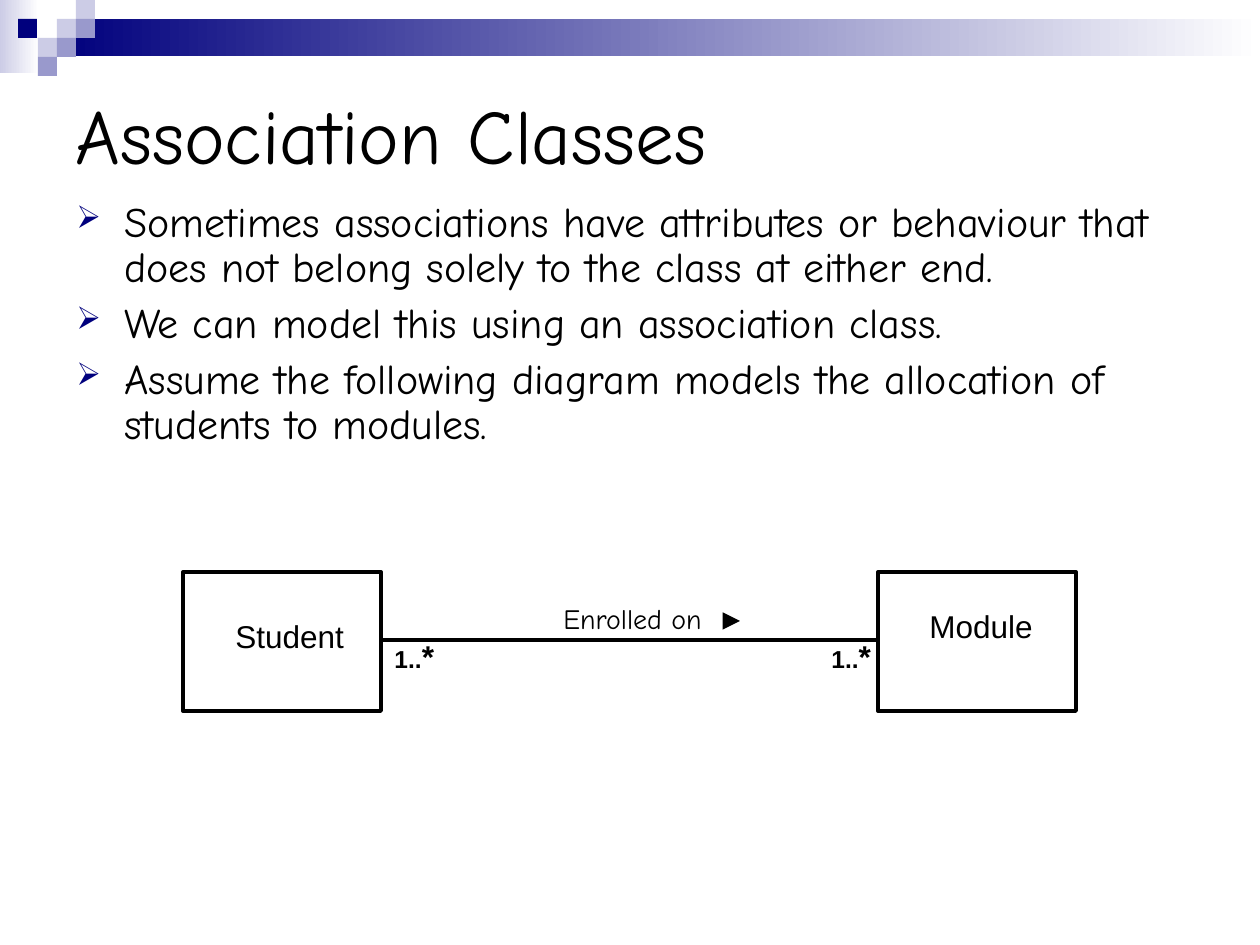
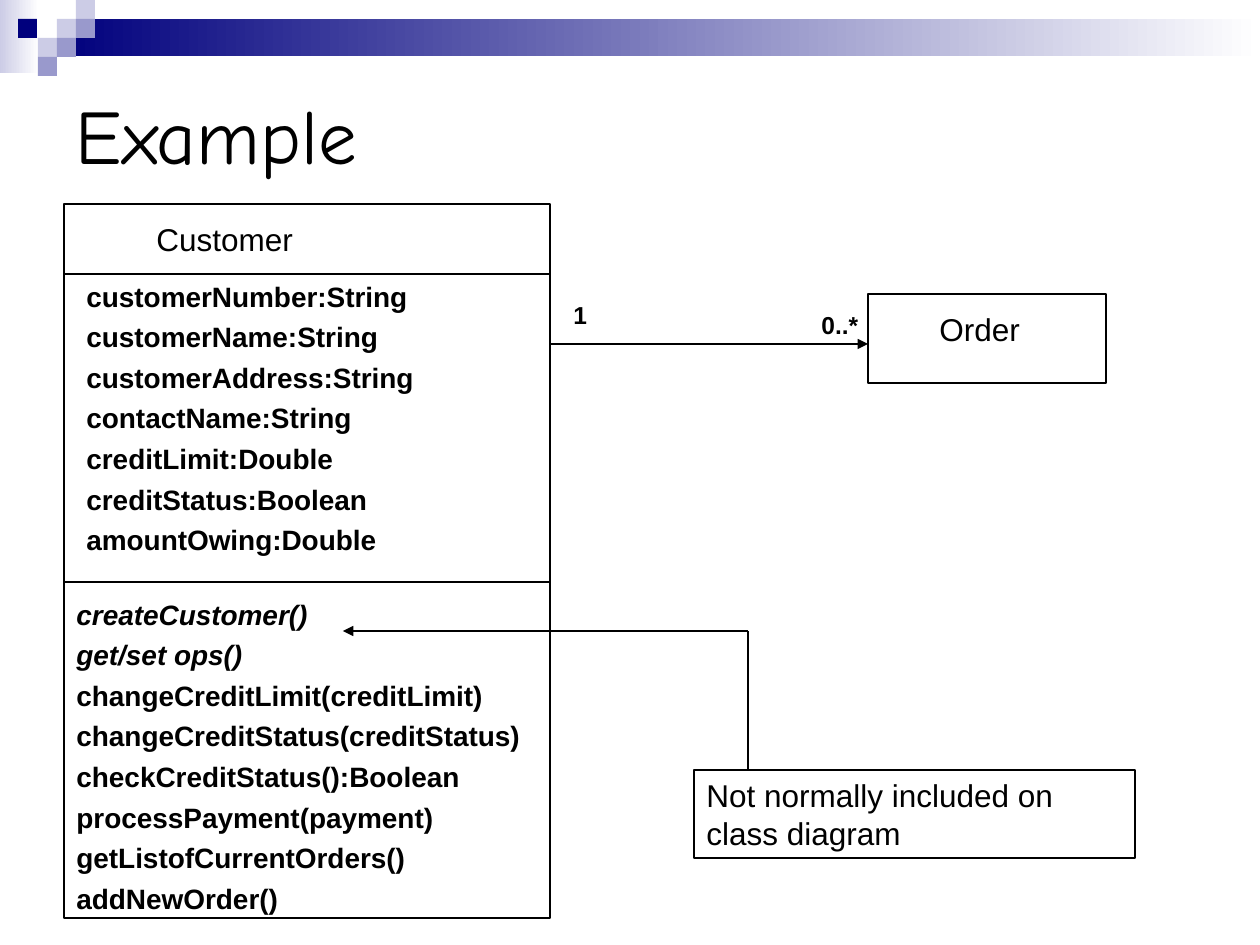
from lxml.etree import SubElement
from pptx import Presentation
from pptx.dml.color import RGBColor
from pptx.enum.shapes import MSO_CONNECTOR as Conn, MSO_SHAPE as Geo
from pptx.enum.text import MSO_ANCHOR as Anchor, MSO_AUTO_SIZE as Fit, PP_ALIGN as Align
from pptx.oxml.ns import qn
from pptx.util import Pt

# Shared look
SCALE = 914400 / 126
NAVY = RGBColor(0x00, 0x00, 0x7D)
MID = RGBColor(0x99, 0x99, 0xCC)
PALE = RGBColor(0xCC, 0xCC, 0xE6)
WHITE = RGBColor(0xFF, 0xFF, 0xFF)
BLACK = RGBColor(0x00, 0x00, 0x00)
HAND, SANS = "Comic Neue", "Arial"

TITLE = (63, 63, 1134, 141)
FADES = [((0, 0, 39, 73), PALE), ((57, 19, 1203, 37), NAVY)]
TILE = 19
TILES = [(57, 19, PALE), (76, 0, PALE), (76, 19, MID), (38, 38, PALE),
         (18, 19, NAVY), (57, 38, MID), (38, 57, MID)]

# Content: boxes are left, top, width, height; lines are x1, y1, x2, y2, arrow size
POINTS = [
    "Sometimes associations have attributes or behaviour that does not belong "
    "solely to the class at either end.",
    "We can model this using an association class.",
    "Assume the following diagram models the allocation of students to modules.",
]
FIELDS = ["customerNumber:String", "customerName:String", "customerAddress:String",
          "contactName:String", "creditLimit:Double", "creditStatus:Boolean",
          "amountOwing:Double"]
BASIC = ["createCustomer()", "get/set ops()"]
METHODS = ["changeCreditLimit(creditLimit)", "changeCreditStatus(creditStatus)",
           "checkCreditStatus():Boolean", "processPayment(payment)",
           "getListofCurrentOrders()", "addNewOrder()"]

ENROL = {
    "title": "Association Classes",
    "weight": 2.25,
    "boxes": [(183, 572, 198, 139), (878, 572, 198, 139)],
    "lines": [(382, 640, 878, 640, None)],
    "names": [("Student", 223, 611, 159), ("Module", 917, 601, 129)],
}
ORDER = {
    "title": "Example",
    "weight": 1.5,
    "boxes": [(64, 204, 486, 714), (694, 770, 441, 88), (868, 294, 238, 89)],
    "lines": [(64, 274, 550, 274, None), (64, 582, 550, 582, None),
              (748, 770, 748, 631, None), (748, 631, 343, 631, "med"),
              (550, 344, 868, 344, "med")],
    "names": [("Customer", 144, 214, 179), ("Order", 927, 304, 179),
              ("Not normally included on class diagram", 694, 770, 441)],
}
COUNTS = [("1", 561, 294, 129), ("0..*", 809, 304, 69)]


def px(*nums):
    return [round(n * SCALE) for n in nums]


def style(run, size, font=SANS, bold=False, italic=False):
    face = run.font
    face.size, face.name, face.bold, face.italic = Pt(size), font, bold, italic
    face.color.rgb = BLACK


def add_rect(slide, box):
    rect = slide.shapes.add_shape(Geo.RECTANGLE, *px(*box))
    rect.shadow.inherit = False
    rect.fill.background()
    rect.line.fill.background()
    return rect


def add_line(slide, ends, weight, head=None):
    line = slide.shapes.add_connector(Conn.STRAIGHT, *px(*ends))
    line.line.color.rgb = BLACK
    line.line.width = Pt(weight)
    if head:
        SubElement(line.line._get_or_add_ln(), qn("a:tailEnd"),
                   type="triangle", w=head, len=head)
    SubElement(line._element.spPr, qn("a:effectLst"))


def add_text(slide, rows, box, size, gap, **look):
    frame = slide.shapes.add_textbox(*px(*box)).text_frame
    frame.word_wrap = True
    frame.text = "\n".join(rows)
    for para in frame.paragraphs:
        para.space_before = Pt(gap)
        for run in para.runs:
            style(run, size, **look)
    return frame.paragraphs


def add_bullet(para):
    props = para._p.get_or_add_pPr()
    indent = px(48)[0]
    props.set("marL", str(indent))
    props.set("indent", str(-indent))
    color = SubElement(props, qn("a:buClr"))
    SubElement(color, qn("a:srgbClr"), val=str(NAVY))
    SubElement(props, qn("a:buSzPct"), val="75000")
    SubElement(props, qn("a:buChar"), char="➢")


def add_slide(deck, data):
    slide = deck.slides.add_slide(deck.slide_layouts[5])
    # Corner tiles and fading band
    for box, tint in FADES:
        fill = add_rect(slide, box).fill
        fill.gradient()
        fill.gradient_angle = 0
        for stop, shade in zip(fill.gradient_stops, (tint, WHITE)):
            stop.color.rgb = shade
    for left, top, tint in TILES:
        fill = add_rect(slide, (left, top, TILE, TILE)).fill
        fill.solid()
        fill.fore_color.rgb = tint
    # Title
    title = slide.shapes.title
    title.left, title.top, title.width, title.height = px(*TITLE)
    frame = title.text_frame
    frame.text = data["title"]
    frame.auto_size = Fit.NONE
    frame.vertical_anchor = Anchor.MIDDLE
    frame.paragraphs[0].alignment = Align.LEFT
    style(frame.paragraphs[0].runs[0], 44, HAND)
    # Class diagram
    for box in data["boxes"]:
        edge = add_rect(slide, box).line
        edge.color.rgb = BLACK
        edge.width = Pt(data["weight"])
    for *ends, head in data["lines"]:
        add_line(slide, ends, data["weight"], head)
    for name, left, top, width in data["names"]:
        add_text(slide, [name], (left, top, width, 50), 18, 11.2)
    return slide


def main():
    deck = Presentation()
    deck.slide_width, deck.slide_height = px(1260, 945)

    # Association between student and module
    slide = add_slide(deck, ENROL)
    for para in add_text(slide, POINTS, (64, 195, 1134, 307), 24, 6, font=HAND):
        para.line_spacing = 0.9
        add_bullet(para)
    add_text(slide, ["Enrolled on"], (551, 595, 179, 47), 16, 10, font=HAND)
    add_line(slide, (730, 621, 740, 621), 0.75, "lg")
    for left in (382, 819):
        para = add_text(slide, ["1.."], (left, 631, 69, 50), 14, 11.2, bold=True)[0]
        star = para.add_run()
        star.text = "*"
        style(star, 18, bold=True)

    # Customer and order classes
    slide = add_slide(deck, ORDER)
    add_text(slide, FIELDS, (74, 273, 466, 290), 16, 4, bold=True)
    paras = add_text(slide, BASIC + METHODS, (64, 591, 486, 330), 16, 4, bold=True)
    for para in paras[:len(BASIC)]:
        para.runs[0].font.italic = True
    for count, left, top, width in COUNTS:
        add_text(slide, [count], (left, top, width, 43), 14, 8.8, bold=True)

    deck.save("out.pptx")


if __name__ == "__main__":
    main()
